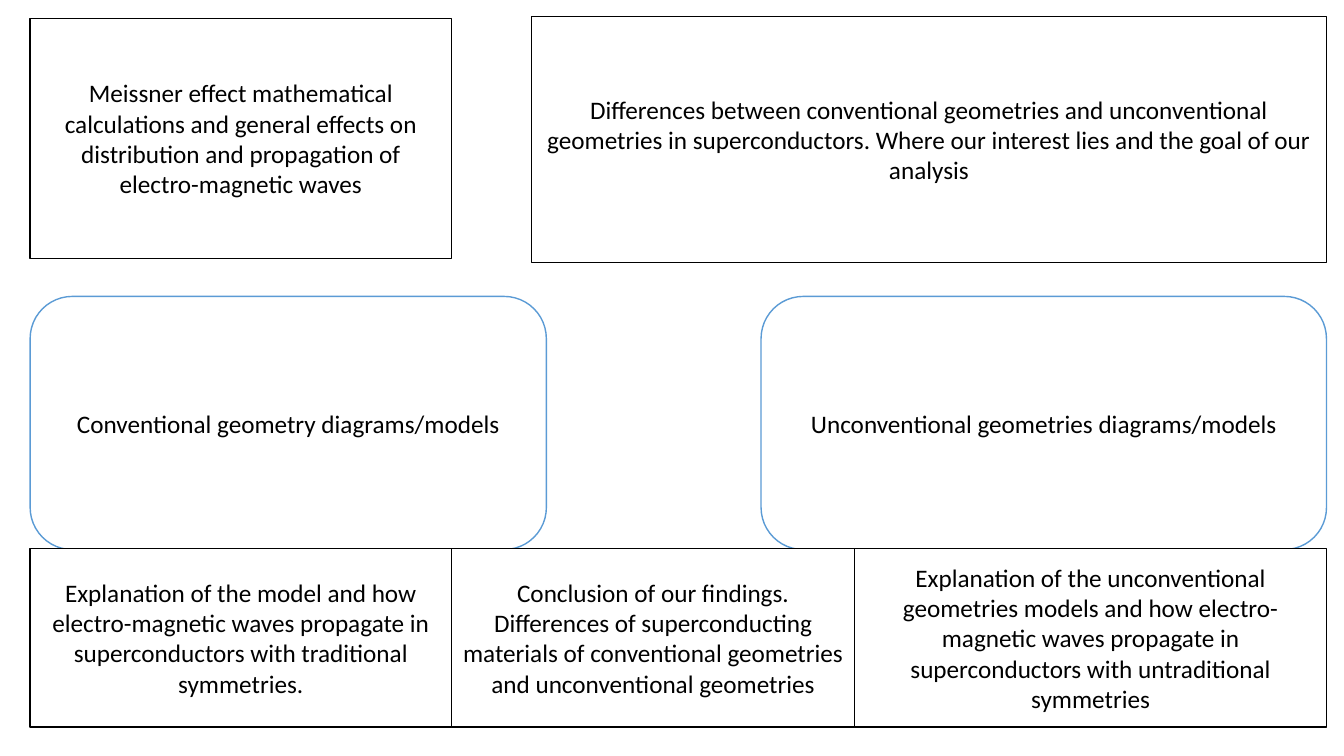
from pptx import Presentation
from pptx.dml.color import RGBColor
from pptx.enum.shapes import MSO_SHAPE
from pptx.enum.text import MSO_ANCHOR, PP_ALIGN
from pptx.util import Cm, Pt

RECTANGLE = MSO_SHAPE.RECTANGLE
ROUNDED = MSO_SHAPE.ROUNDED_RECTANGLE
MIDDLE = MSO_ANCHOR.MIDDLE
CENTER = PP_ALIGN.CENTER

WHITE = RGBColor(0xFF, 0xFF, 0xFF)
BLACK = RGBColor(0x00, 0x00, 0x00)
BLUE = RGBColor(0x5B, 0x9B, 0xD5)

# Shared vertical edges of the poster, in cm
LEFT, FIRST_COLUMN, SECOND_COLUMN, RIGHT = 0.76, 11.38, 21.54, 33.43

# Each section: text, left edge, right edge
INTRODUCTION = [
    ("Meissner effect mathematical calculations and general effects on "
     "distribution and propagation of electro-magnetic waves", LEFT, FIRST_COLUMN),
]
GOAL = [
    ("Differences between conventional geometries and unconventional geometries "
     "in superconductors. Where our interest lies and the goal of our analysis",
     13.39, RIGHT),
]
MODELS = [
    ("Conventional geometry diagrams/models", LEFT, 13.77),
    ("Unconventional geometries diagrams/models", 19.18, RIGHT),
]
FINDINGS = [
    ("Explanation of the model and how electro-magnetic waves propagate in "
     "superconductors with traditional symmetries.", LEFT, FIRST_COLUMN),
    ("Conclusion of our findings. Differences of superconducting materials of "
     "conventional geometries and unconventional geometries",
     FIRST_COLUMN, SECOND_COLUMN),
    ("Explanation of the unconventional geometries models and how "
     "electro-magnetic waves propagate in superconductors with untraditional "
     "symmetries", SECOND_COLUMN, RIGHT),
]

# Each band: sections, top, height, outline form, outline colour
BANDS = [
    (INTRODUCTION, 0.46, 6.05, RECTANGLE, BLACK),
    (GOAL, 0.41, 6.2, RECTANGLE, BLACK),
    (MODELS, 7.47, 6.38, ROUNDED, BLUE),
    (FINDINGS, 13.82, 4.5, RECTANGLE, BLACK),
]


def write_text(frame, text, size=18, font="Calibri", color=BLACK, align=CENTER):
    """Put formatted, wrapped text in the middle of a text frame."""
    frame.word_wrap = True
    frame.vertical_anchor = MIDDLE
    paragraph = frame.paragraphs[0]
    paragraph.alignment = align
    run = paragraph.add_run()
    run.text = text
    run.font.size = Pt(size)
    run.font.name = font
    run.font.color.rgb = color


def add_section(slide, text, left, right, top, height, form, outline):
    """Draw one outlined poster section between two vertical edges."""
    section = slide.shapes.add_shape(
        form, Cm(left), Cm(top), Cm(right - left), Cm(height))
    section.shadow.inherit = False
    section.fill.solid()
    section.fill.fore_color.rgb = WHITE
    section.line.color.rgb = outline
    section.line.width = Pt(1)
    write_text(section.text_frame, text)


presentation = Presentation()
presentation.slide_width = Cm(33.87)
presentation.slide_height = Cm(19.05)
poster = presentation.slides.add_slide(presentation.slide_layouts[6])

for sections, top, height, form, outline in BANDS:
    for text, left, right in sections:
        add_section(poster, text, left, right, top, height, form, outline)

presentation.save("out.pptx")
